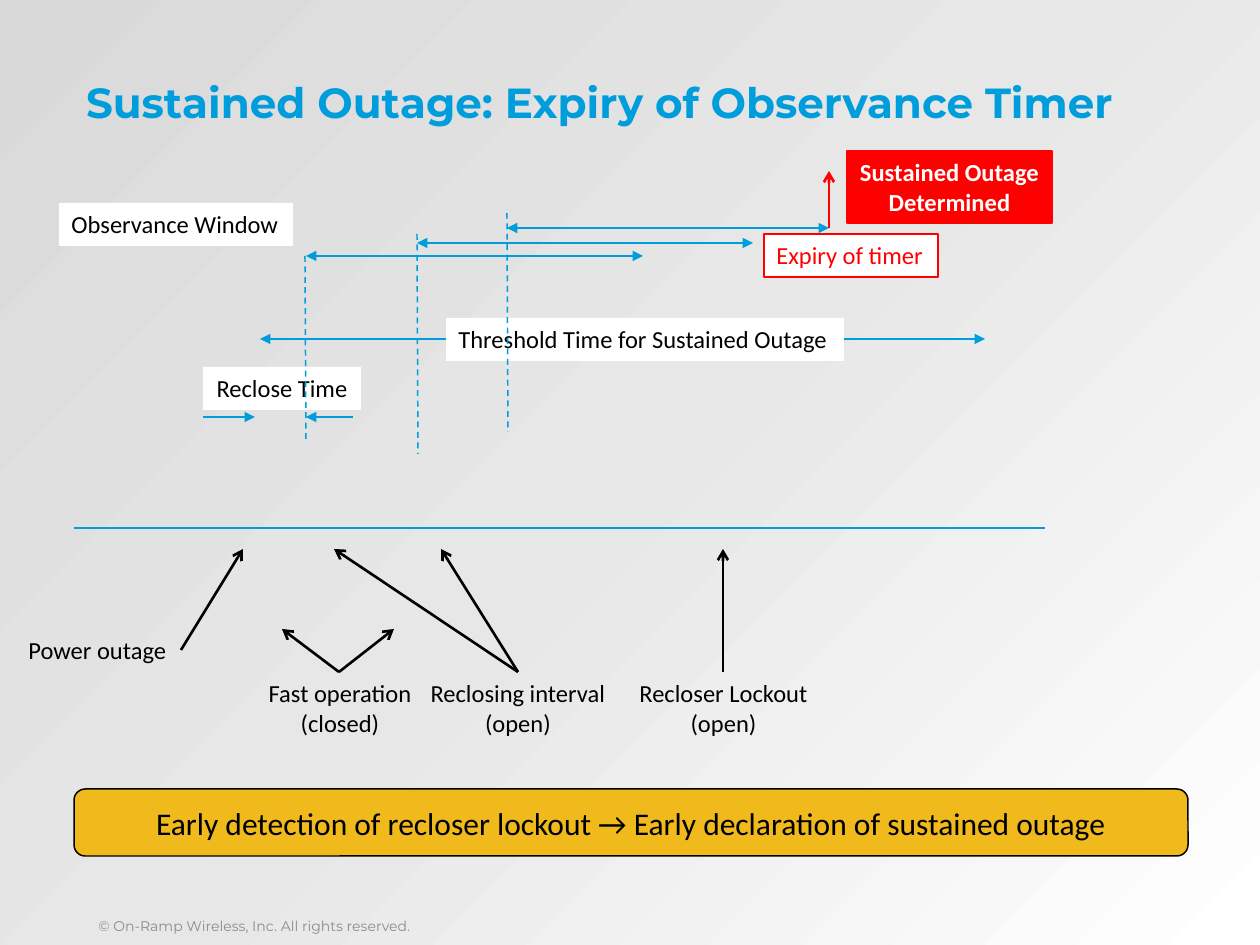
from copy import deepcopy
from dataclasses import dataclass

from pptx import Presentation
from pptx.dml.color import RGBColor
from pptx.enum.dml import MSO_LINE_DASH_STYLE as Dash
from pptx.enum.shapes import MSO_CONNECTOR as Connector, MSO_SHAPE as Shape
from pptx.enum.text import MSO_ANCHOR as Anchor, MSO_AUTO_SIZE as AutoSize, PP_ALIGN as Align
from pptx.oxml import parse_xml
from pptx.oxml.ns import nsdecls
from pptx.util import Emu, Pt


@dataclass(frozen=True)
class Theme:
    blue: str = "009DDC"
    red: str = "FF0000"
    gold: str = "F0BA1D"
    black: str = "000000"
    white: str = "FFFFFF"
    grey: str = "8C8C8C"
    backdrop: tuple = ((0, "D9D9D9"), (0.5, "E6E7E6"), (1, "FFFFFF"))
    heading_font: str = "Montserrat"
    body_font: str = "Calibri"
    title_size: int = 24
    banner_size: int = 18
    label_size: int = 14
    small_size: int = 8
    thin: float = 0.75
    dashed: float = 0.85
    thick: float = 1.5


THEME = Theme()


def px(count):
    return Emu(round(count * 914400 / 126))


def rgb(value):
    return RGBColor.from_string(value)


def apply(target, values):
    for name, value in values.items():
        setattr(target, name, value)


def place(shape, box):
    apply(shape, dict(zip(("left", "top", "width", "height"), map(px, box))))


def paint_background(page):
    fill = page.background.fill
    fill.gradient()
    fill.gradient_angle = 315
    stop_list = page.element.xpath(".//a:gsLst")[0]
    stop_list.append(deepcopy(stop_list[-1]))
    for stop, (position, color) in zip(fill.gradient_stops, THEME.backdrop):
        stop.position = position
        stop.color.rgb = rgb(color)


def write(shape, text, color=THEME.black, size=THEME.label_size, font=THEME.body_font,
          bold=False, align=Align.LEFT, **frame_format):
    """Fill a shape with one paragraph for each line of text."""
    frame = shape.text_frame
    apply(frame, frame_format)
    for number, line in enumerate(text.split("\n")):
        para = frame.add_paragraph() if number else frame.paragraphs[0]
        para.alignment = align
        span = para.add_run()
        span.text = line
        apply(span.font, {"name": font, "size": Pt(size), "bold": bold})
        span.font.color.rgb = rgb(color)


def add_label(page, box, text, **text_format):
    label = page.shapes.add_textbox(*map(px, box))
    write(label, text, **{"word_wrap": False, "auto_size": AutoSize.SHAPE_TO_FIT_TEXT,
                          **text_format})


def add_panel(page, box, text, fill=THEME.white, outline=None, width=THEME.thin,
              kind=Shape.RECTANGLE, **text_format):
    panel = page.shapes.add_shape(kind, *map(px, box))
    panel.shadow.inherit = False
    panel.fill.solid()
    panel.fill.fore_color.rgb = rgb(fill)
    if outline:
        panel.line.color.rgb = rgb(outline)
        panel.line.width = Pt(width)
    else:
        panel.line.fill.background()
    write(panel, text, **{"word_wrap": False, "auto_size": AutoSize.SHAPE_TO_FIT_TEXT,
                          "vertical_anchor": Anchor.TOP, **text_format})


def add_line(page, start, end, color=THEME.blue, width=THEME.thin, dash=None,
             head=None, tail=None):
    line = page.shapes.add_connector(Connector.STRAIGHT, *map(px, (*start, *end)))
    line.line.color.rgb = rgb(color)
    line.line.width = Pt(width)
    if dash:
        line.line.dash_style = dash
    outline = line.line._get_or_add_ln()
    for tag, kind in (("headEnd", head), ("tailEnd", tail)):
        if kind:
            outline.append(parse_xml(f'<a:{tag} {nsdecls("a")} type="{kind}"/>'))
    line.element.spPr.append(parse_xml(f'<a:effectLst {nsdecls("a")}/>'))


def add_span(page, left, right, y):
    add_line(page, (left, y), (right, y), head="triangle", tail="triangle")


def add_pointer(page, start, end, color=THEME.black):
    add_line(page, start, end, color, THEME.thick, tail="arrow")


def add_heading(page):
    title = page.shapes.title
    place(title, (86, 63, 1096, 62))
    write(title, "Sustained Outage: Expiry of Observance Timer", THEME.blue,
          THEME.title_size, THEME.heading_font, True, vertical_anchor=Anchor.TOP,
          auto_size=AutoSize.NONE, word_wrap=True, margin_left=0,
          margin_top=px(13), margin_right=px(13), margin_bottom=px(13))
    add_label(page, (86, 906, 418, 34), "© On-Ramp Wireless, Inc. All rights reserved.",
              color=THEME.grey, size=THEME.small_size, font=THEME.heading_font,
              vertical_anchor=Anchor.BOTTOM, auto_size=AutoSize.NONE, word_wrap=True)


def add_events(page):
    """Draw the time axis and the events that point up at it."""
    add_line(page, (74, 528), (1045, 528), width=THEME.thick)
    add_label(page, (16, 629, 165, 43), "Power outage")
    add_pointer(page, (181, 650), (243, 549))
    events = (
        ("Fast operation\n(closed)", 255, 170, 339, ((282, 629), (394, 629))),
        ("Reclosing interval\n(open)", 417, 202, 518, ((441, 549), (334, 549))),
        ("Recloser Lockout\n(open)", 626, 195, 723, ((723, 549),)),
    )
    for text, left, width, middle, targets in events:
        add_label(page, (left, 672, width, 72), text, align=Align.CENTER)
        for target in targets:
            add_pointer(page, (middle, 672), target)


def add_timers(page):
    add_span(page, 260, 985, 339)
    add_line(page, (203, 417), (255, 417), tail="triangle")
    add_line(page, (306, 417), (353, 417), head="triangle")
    for left, right, y in ((306, 643, 256), (417, 753, 243), (507, 829, 228)):
        add_span(page, left, right, y)
    add_pointer(page, (829, 228), (829, 171), THEME.red)

    add_panel(page, (847, 151, 205, 72), "Sustained Outage\nDetermined", THEME.red,
              THEME.red, color=THEME.white, bold=True, align=Align.CENTER)
    add_panel(page, (764, 234, 174, 43), "Expiry of timer", outline=THEME.red,
              color=THEME.red)
    add_panel(page, (59, 203, 234, 43), "Observance Window")
    add_panel(page, (446, 318, 398, 43), "Threshold Time for Sustained Outage")
    add_panel(page, (203, 367, 158, 43), "Reclose Time", align=Align.CENTER)

    for x, top, bottom in ((507, 213, 432), (417, 234, 454), (305, 256, 442)):
        add_line(page, (x, top), (x + 1, bottom), width=THEME.dashed, dash=Dash.DASH)


def add_banner(page):
    add_panel(page, (74, 789, 1114, 67),
              "Early detection of recloser lockout → Early declaration of sustained outage",
              THEME.gold, THEME.black, THEME.dashed, Shape.ROUNDED_RECTANGLE,
              size=THEME.banner_size, align=Align.CENTER, word_wrap=True,
              auto_size=AutoSize.NONE, vertical_anchor=Anchor.MIDDLE)


def main():
    deck = Presentation()
    apply(deck, {"slide_width": px(1260), "slide_height": px(945)})
    page = deck.slides.add_slide(deck.slide_layouts.get_by_name("Title Only"))
    paint_background(page)
    add_heading(page)
    add_events(page)
    add_timers(page)
    add_banner(page)
    deck.save("out.pptx")


if __name__ == "__main__":
    main()
